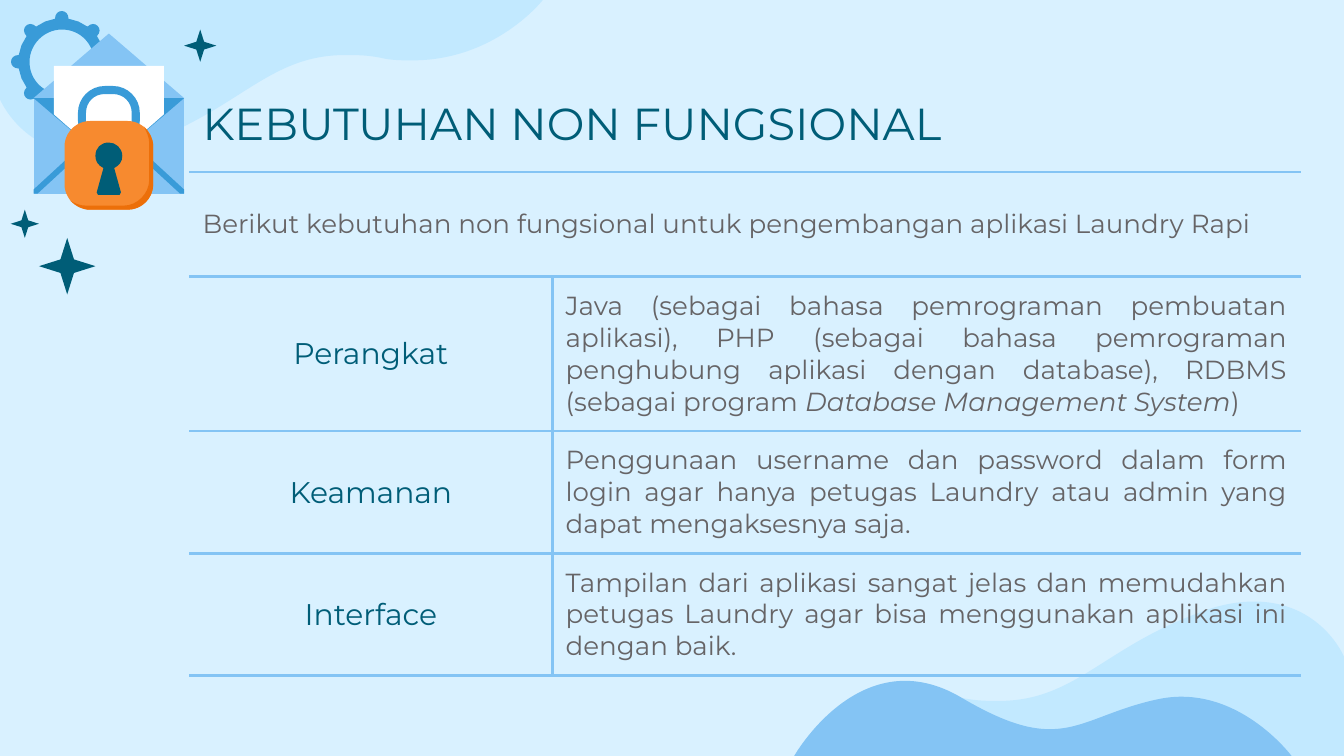
import math
from dataclasses import dataclass

import pptx
import pptx.dml.color
import pptx.enum.shapes
import pptx.enum.text
import pptx.oxml
import pptx.oxml.ns
import pptx.util
from pptx.util import Cm

Shapes = pptx.enum.shapes.MSO_SHAPE
Align = pptx.enum.text.PP_ALIGN


@dataclass(frozen=True)
class Theme:
    font: str = "Montserrat"
    paper: str = "D9F1FF"
    pale: str = "C2E9FF"
    sky: str = "84C4F4"
    blue: str = "399BD8"
    white: str = "FFFFFF"
    orange: str = "F78A2F"
    rust: str = "EC6F09"
    teal: str = "005D77"
    gray: str = "666466"
    title_size: int = 24
    label_size: int = 16
    body_size: int = 14
    rule_width: float = 1.5


@dataclass(frozen=True)
class Box:
    left: int
    top: int
    width: int
    height: int


THEME = Theme()

WAVE = ("M 0 0 L 0 74 C 0 74 17 115 67 115 C 78 115 92 113 107 107 C 179 81 200 41 257 41 "
        "C 265 41 273 41 283 43 C 291 45 299 45 307 45 C 369 45 404 0 404 0")
CREST = "M 370 88 C 370 88 329 33 270 46 C 210 59 200 89 125 45 C 50 0 0 88 0 88"
ENVELOPE = [
    ("M 81 25 L 25 73 L 137 73", THEME.sky),
    ("M 25 73 L 25 144 L 137 144 L 137 73", THEME.sky),
    ("M 25 73 L 81 121 L 137 73", THEME.blue),
    ("M 40 49 L 40 85 L 81 121 L 122 85 L 122 49", THEME.white),
    ("M 86 95 L 84 98 L 134 144 L 137 144 L 137 141 L 87 95", THEME.blue),
    ("M 77 95 L 75 95 L 25 141 L 25 144 L 28 144 L 78 98", THEME.blue),
]
SHACKLE = ("M 84 70 C 92 70 98 76 98 84 L 98 90 C 98 97 92 103 84 103 L 78 103 "
           "C 70 103 64 97 64 90 L 64 84 C 64 76 70 70 78 70 "
           "M 78 64 C 67 64 58 73 58 84 L 58 90 C 58 100 67 109 78 109 L 84 109 "
           "C 95 109 104 100 104 90 L 104 84 C 104 73 95 64 84 64")
LOCK_SHADE = ("M 107 94 C 109 98 111 102 111 106 L 111 134 C 111 144 102 153 92 153 L 64 153 "
              "C 59 153 55 151 52 149 C 56 153 61 156 67 156 L 95 156 C 105 156 114 148 114 137 "
              "L 114 109 C 114 103 111 98 107 94")
KEYHOLE = ("M 81 106 C 75 106 71 110 71 116 C 71 120 73 123 77 125 L 72 143 L 73 145 "
           "L 89 145 L 90 143 L 85 125 C 89 123 91 120 91 116 C 91 110 86 106 81 106")
GEAR_HOLE = ("M 46 22 C 60 22 70 33 70 46 C 70 60 60 70 46 70 "
             "C 33 70 22 60 22 46 C 22 33 33 22 46 22")

ROWS = [
    ("Perangkat", [("Java (sebagai bahasa pemrograman pembuatan aplikasi), PHP (sebagai bahasa "
                    "pemrograman penghubung aplikasi dengan database), RDBMS (sebagai program ", False),
                   ("Database Management System", True), (")", False)]),
    ("Keamanan", [("Penggunaan username dan password dalam form login agar hanya petugas Laundry "
                   "atau admin yang dapat mengaksesnya saja.", False)]),
    ("Interface", [("Tampilan dari aplikasi sangat jelas dan memudahkan petugas Laundry agar bisa "
                    "menggunakan aplikasi ini dengan baik.", False)]),
]


def rgb(color):
    return pptx.dml.color.RGBColor.from_string(color)


def paint(shape, color):
    shape.fill.solid()
    shape.fill.fore_color.rgb = rgb(color)
    shape.line.fill.background()
    shape.shadow.inherit = False
    return shape


def trace(path):
    contours = []
    tokens = iter(path.split())
    for command in tokens:
        if command == "M":
            contours.append([])
        for _ in range(3 if command == "C" else 1):
            contours[-1].append((command, float(next(tokens)), float(next(tokens))))
    return contours


def bend_curves(shape, commands):
    outline = next(shape._element.iter(pptx.oxml.ns.qn("a:path")))
    nodes = [node for node in outline if node.tag != pptx.oxml.ns.qn("a:close")]
    curved = [node for node, command in zip(nodes, commands) if command == "C"]
    for first, second, third in zip(curved[::3], curved[1::3], curved[2::3]):
        first.tag = pptx.oxml.ns.qn("a:cubicBezTo")
        for node in (second, third):
            first.append(node[0])
            outline.remove(node)


def draw_outline(page, box, grid, path, color):
    builder = None
    contours = trace(path)
    for contour in contours:
        points = [(round(box.left + box.width * x / grid[0]), round(box.top + box.height * y / grid[1]))
                  for _, x, y in contour]
        if builder is None:
            builder = page.shapes.build_freeform(*points[0], scale=1.0)
        else:
            builder.move_to(*points[0])
        builder.add_line_segments(points[1:], close=False)
        builder.add_line_segments([], close=True)
    shape = builder.convert_to_shape()
    bend_curves(shape, [command for contour in contours for command, _, _ in contour])
    return paint(shape, color)


def gear_path(center=46, rim=32, reach=33, knob=5, count=8):
    def spot(angle, out, across):
        x = center + out * math.cos(angle) - across * math.sin(angle)
        y = center + out * math.sin(angle) + across * math.cos(angle)
        return f"{x:.2f} {y:.2f}"

    parts = []
    tip = reach + knob * 4 / 3
    for index in range(count):
        angle = math.tau * index / count
        parts += ["L" if index else "M", spot(angle, rim, -knob),
                  "C", spot(angle, tip, -knob), spot(angle, tip, knob), spot(angle, rim, knob),
                  "L", spot(angle + math.pi / count, rim + 0.4, 0)]
    return " ".join(parts + [GEAR_HOLE])


def add_waves(page, box):
    grid, width, height = (404, 115), Cm(10.26), Cm(2.92)
    right, bottom = box.left + box.width, box.top + box.height
    for left, top, turn in [(right - width, bottom - height, 180), (box.left, box.top, 0)]:
        wave = draw_outline(page, Box(left, top, width, height), grid, WAVE, THEME.pale)
        wave.rotation = turn
    crest = Box(box.left + Cm(15.01), bottom - Cm(2.24), Cm(9.4), Cm(2.24))
    draw_outline(page, crest, (370, 88), CREST, THEME.sky)


def add_mail_lock(page, box):
    grid = (161, 218)

    def preset(kind, left, top, size, adjustment, color):
        shape = page.shapes.add_shape(
            kind, round(box.left + box.width * left / grid[0]), round(box.top + box.height * top / grid[1]),
            round(box.width * size / grid[0]), round(box.height * size / grid[1]))
        shape.adjustments[0] = adjustment
        paint(shape, color)

    for path, color in [(gear_path(), THEME.blue), *ENVELOPE, (SHACKLE, THEME.blue)]:
        draw_outline(page, box, grid, path, color)
    preset(Shapes.ROUNDED_RECTANGLE, 48, 90, 66, 0.29, THEME.orange)
    for path, color in [(LOCK_SHADE, THEME.rust), (KEYHOLE, THEME.teal)]:
        draw_outline(page, box, grid, path, color)
    for left, top, size in [(29, 177, 42), (137, 22, 24), (8, 156, 21)]:
        preset(Shapes.STAR_4_POINT, left, top, size, 0.17, THEME.teal)


def set_borders(cell, visible):
    properties = cell._tc.get_or_add_tcPr()
    for index, side in enumerate("LRTB"):
        line = pptx.oxml.parse_xml(f'<a:ln{side} {pptx.oxml.ns.nsdecls("a")}/>')
        line.set("w", str(pptx.util.Pt(THEME.rule_width)))
        if side in visible:
            fill = pptx.oxml.parse_xml(f'<a:solidFill {pptx.oxml.ns.nsdecls("a")}>'
                                       f'<a:srgbClr val="{THEME.sky}"/></a:solidFill>')
        else:
            fill = pptx.oxml.parse_xml(f'<a:noFill {pptx.oxml.ns.nsdecls("a")}/>')
        line.append(fill)
        properties.insert(index, line)


def write_cell(cell, spans, size, color, align):
    cell.vertical_anchor = pptx.enum.text.MSO_ANCHOR.MIDDLE
    cell.margin_left = cell.margin_right = cell.margin_top = cell.margin_bottom = Cm(0.25)
    para = cell.text_frame.paragraphs[0]
    para.alignment = align
    para.font.name = THEME.font
    para.font.size = pptx.util.Pt(size)
    para.font.color.rgb = rgb(color)
    for text, italic in spans:
        span = para.add_run()
        span.text = text
        if italic:
            span.font.italic = True


def add_needs_table(page, box):
    heights = [Cm(1.78), Cm(1.98), Cm(2.92), Cm(2.31), Cm(2.31)]
    table = page.shapes.add_table(len(heights), 2, box.left, box.top, box.width, box.height).table
    table.first_row = table.horz_banding = False
    table.columns[0].width = Cm(6.86)
    table.columns[1].width = box.width - Cm(6.86)
    for index, height in enumerate(heights):
        table.rows[index].height = height
        for column in (0, 1):
            cell = table.cell(index, column)
            cell.fill.background()
            sides = "B" if index == 0 else "TB"
            set_borders(cell, sides + ("RL"[column] if index > 1 else ""))
    for index in (0, 1):
        table.cell(index, 0).merge(table.cell(index, 1))
    write_cell(table.cell(0, 0), [("KEBUTUHAN NON FUNGSIONAL", False)],
               THEME.title_size, THEME.teal, Align.LEFT)
    intro = "Berikut kebutuhan non fungsional untuk pengembangan aplikasi Laundry Rapi"
    write_cell(table.cell(1, 0), [(intro, False)], THEME.body_size, THEME.gray, Align.LEFT)
    for index, (label, spans) in enumerate(ROWS, start=2):
        write_cell(table.cell(index, 0), [(label, False)], THEME.label_size, THEME.teal, Align.CENTER)
        write_cell(table.cell(index, 1), spans, THEME.body_size, THEME.gray, Align.JUSTIFY)


def main():
    deck = pptx.Presentation()
    deck.slide_width, deck.slide_height = Cm(25.4), Cm(14.29)
    page = deck.slides.add_slide(deck.slide_layouts[6])
    page.background.fill.solid()
    page.background.fill.fore_color.rgb = rgb(THEME.paper)
    add_waves(page, Box(0, 0, deck.slide_width, deck.slide_height))
    add_mail_lock(page, Box(0, 0, Cm(4.09), Cm(5.54)))
    add_needs_table(page, Box(Cm(3.58), Cm(1.47), Cm(21), Cm(11.3)))
    deck.save("out.pptx")


if __name__ == "__main__":
    main()
